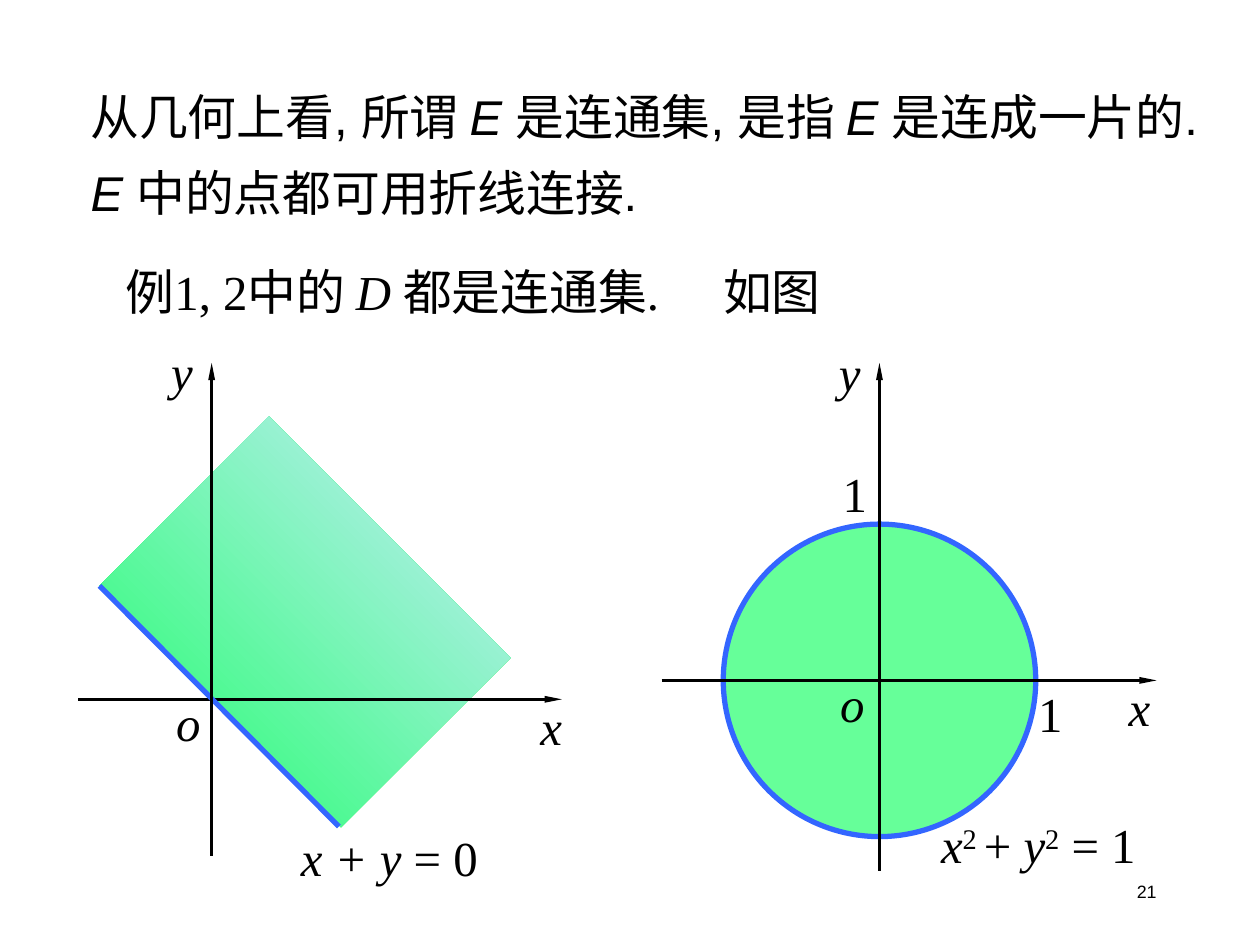
from dataclasses import dataclass

from pptx import Presentation
from pptx.dml.color import RGBColor as Rgb
from pptx.enum.shapes import MSO_CONNECTOR as Connector, MSO_SHAPE as Shape
from pptx.enum.text import MSO_AUTO_SIZE as AutoSize, PP_ALIGN as Align
from pptx.oxml.ns import qn
from pptx.oxml.xmlchemy import OxmlElement
from pptx.util import Inches, Pt


@dataclass(frozen=True)
class Theme:
    ink: Rgb = Rgb(0, 0, 0)
    edge: Rgb = Rgb(0x33, 0x66, 0xFF)
    disk: Rgb = Rgb(0x66, 0xFF, 0x99)
    band_start: Rgb = Rgb(0x1B, 0xFF, 0x67)
    band_end: Rgb = Rgb(0xCC, 0xEC, 0xFF)
    serif: str = "Times New Roman"
    sans: str = "Arial"
    body: float = 27.9
    footer: float = 10.2
    axis_width: float = 1.5
    edge_width: float = 3
    label_height: float = 0.57


class Sketch:
    def __init__(self, page, theme):
        self.page = page
        self.theme = theme
        self.shapes = page.shapes

    def start_group(self):
        self.shapes = self.page.shapes.add_group_shape().shapes

    def end_group(self):
        self.shapes = self.page.shapes

    def text(self, left, top, width, height, *runs, font=None, size=None, wrap=True):
        box = self.shapes.add_textbox(*map(Inches, (left, top, width, height)))
        frame = box.text_frame
        frame.word_wrap = wrap
        frame.auto_size = AutoSize.SHAPE_TO_FIT_TEXT
        para = frame.paragraphs[0]
        for words, style in runs:
            span = para.add_run()
            span.text = words
            span.font.name = font or self.theme.serif
            span.font.size = Pt(size or self.theme.body)
            span.font.color.rgb = self.theme.ink
            span.font.italic = style == "italic"
            if style == "super":
                span._r.get_or_add_rPr().set("baseline", "30000")
        return box

    def label(self, left, top, width, *runs, wrap=False):
        return self.text(left, top, width, self.theme.label_height, *runs, wrap=wrap)

    def line(self, start, end, color, width):
        line = self.shapes.add_connector(
            Connector.STRAIGHT, *map(Inches, (*start, *end)))
        line.line.color.rgb = color
        line.line.width = Pt(width)
        line._element.spPr.append(OxmlElement("a:effectLst"))
        return line

    def axis(self, start, end):
        axis = self.line(start, end, self.theme.ink, self.theme.axis_width)
        head = OxmlElement("a:tailEnd")
        for name, value in (("type", "triangle"), ("w", "sm"), ("len", "lg")):
            head.set(name, value)
        axis.line._get_or_add_ln().append(head)

    def edge(self, start, end):
        self.line(start, end, self.theme.edge, self.theme.edge_width)

    def band(self, left, top, width, height, rotation):
        band = self.shapes.add_shape(
            Shape.RECTANGLE, *map(Inches, (left, top, width, height)))
        band.shadow.inherit = False
        band.rotation = rotation
        band.line.fill.background()
        band.fill.gradient()
        band.fill.gradient_angle = 45
        colors = (self.theme.band_start, self.theme.band_end)
        for stop, color in zip(band.fill.gradient_stops, colors):
            stop.color.rgb = color
        band._element.spPr.find(qn("a:gradFill")).set("rotWithShape", "0")

    def disk(self, center_x, center_y, radius):
        disk = self.shapes.add_shape(Shape.OVAL, *map(Inches, (
            center_x - radius, center_y - radius, 2 * radius, 2 * radius)))
        disk.shadow.inherit = False
        disk.fill.solid()
        disk.fill.fore_color.rgb = self.theme.disk
        disk.line.color.rgb = self.theme.edge
        disk.line.width = Pt(self.theme.edge_width)

    def page_number(self, number):
        box = self.text(7.17, 6.83, 2.33, 0.5, (number, ""),
                        font=self.theme.sans, size=self.theme.footer)
        frame = box.text_frame
        frame.auto_size = AutoSize.NONE
        frame.margin_left = frame.margin_right = Inches(0.32)
        frame.margin_top = frame.margin_bottom = Inches(0.16)
        frame.paragraphs[0].alignment = Align.RIGHT


def draw_half_plane(sketch):
    sketch.start_group()
    sketch.band(1.47, 3.58, 1.9, 2.71, rotation=135)
    sketch.axis((0.62, 5.55), (4.46, 5.55))
    sketch.edge((0.79, 4.65), (2.69, 6.56))
    sketch.label(2.29, 6.52, 1.62, ("x + y", "italic"), (" = 0", ""))
    sketch.label(4.19, 5.48, 0.38, ("x", "italic"))
    sketch.label(1.26, 2.66, 0.38, ("y", "italic"))
    sketch.label(1.3, 5.45, 0.4, ("o", "italic"))
    sketch.axis((1.68, 6.79), (1.68, 2.88))
    sketch.end_group()


def draw_unit_disk(sketch):
    center_x, center_y = 6.98, 5.4
    sketch.start_group()
    sketch.disk(center_x, center_y, 1.24)
    sketch.axis((5.25, center_y), (9.18, center_y))
    sketch.label(8.86, 5.33, 0.37, ("x", "italic"))
    sketch.label(6.56, 2.67, 0.37, ("y", "italic"))
    sketch.label(6.57, 5.3, 0.4, ("o", "italic"))
    sketch.axis((center_x, 6.91), (center_x, 2.88))
    for left, top in ((8.14, 5.38), (6.59, 3.63)):
        sketch.label(left, top, 0.47, ("1", ""), wrap=True)
    sketch.label(7.37, 6.42, 1.81, ("x", "italic"), ("2 ", "super"), ("+ ", ""),
                 ("y", "italic"), ("2", "super"), (" = 1", ""))
    sketch.end_group()


def main():
    deck = Presentation()
    deck.slide_width, deck.slide_height = Inches(10), Inches(7.5)
    page = deck.slides.add_slide(deck.slide_layouts[6])
    theme = Theme()
    sketch = Sketch(page, theme)

    sketch.page_number("21")
    sketch.label(0.9, 2.03, 5.24, ("例1, 2中的 ", ""), ("D ", "italic"),
                 ("都是连通集.", ""), wrap=True)
    sketch.label(5.64, 2.03, 1.15, ("如图", ""), wrap=True)
    draw_half_plane(sketch)
    draw_unit_disk(sketch)
    intro = sketch.text(
        0.62, 0.5, 9.05, 1.32,
        ("从几何上看, 所谓 ", ""), ("E ", "italic"),
        ("是连通集, 是指 ", ""), ("E ", "italic"),
        ("是连成一片的. ", ""), ("E ", "italic"),
        ("中的点都可用折线连接.", ""), font=theme.sans)
    intro.text_frame.paragraphs[0].line_spacing = 1.3

    deck.save("out.pptx")


if __name__ == "__main__":
    main()
